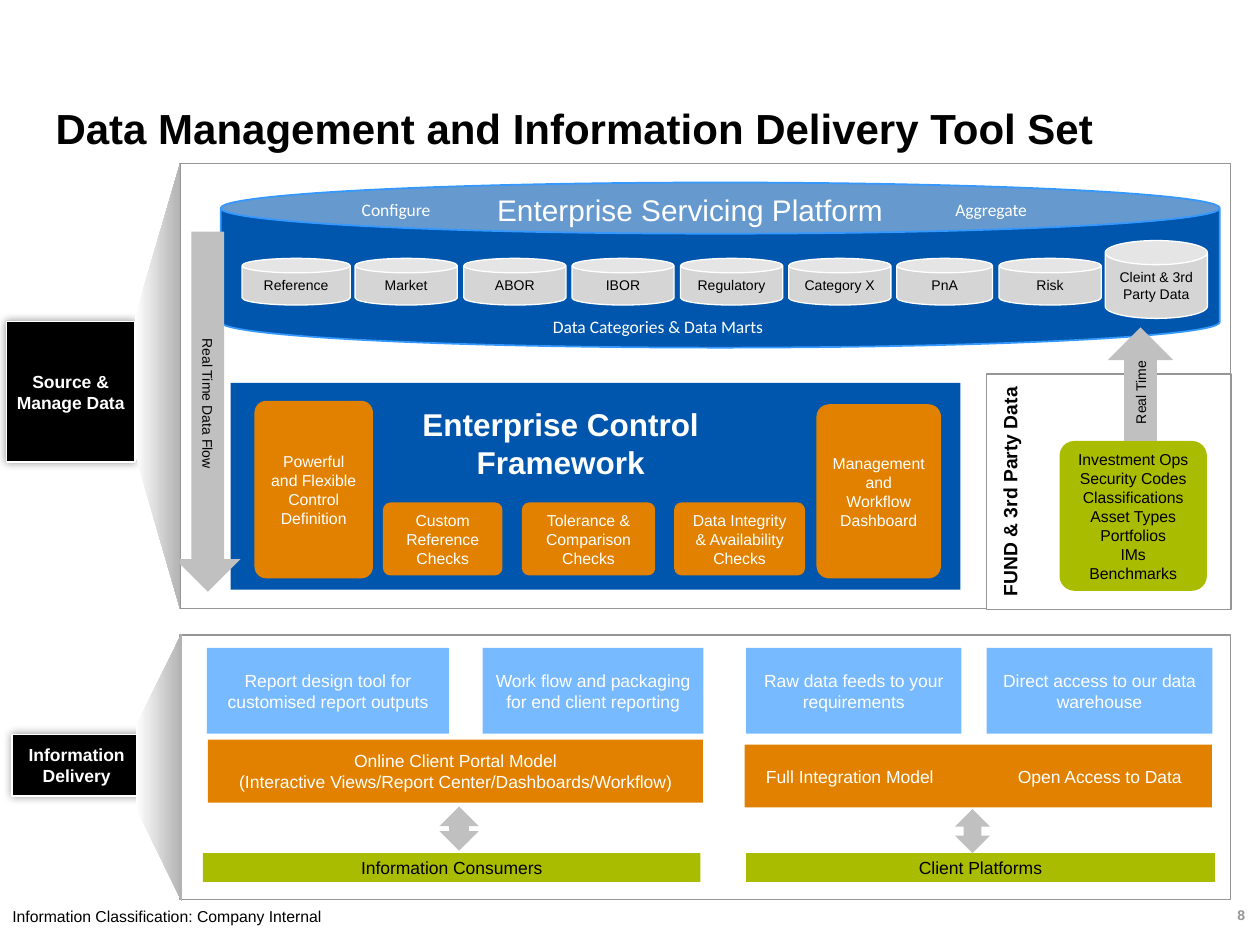
import pptx
import pptx.dml.color
import pptx.enum.shapes
import pptx.enum.text
import pptx.oxml
import pptx.oxml.ns
import pptx.util

Cm = pptx.util.Cm
Pt = pptx.util.Pt
Kind = pptx.enum.shapes.MSO_SHAPE
Align = pptx.enum.text.PP_ALIGN
Anchor = pptx.enum.text.MSO_ANCHOR

WHITE, BLACK, BLUE, SKY = "FFFFFF", "000000", "0055AD", "78BAFF"
ORANGE, GREEN, GRAY, SILVER, BORDER = "E28100", "AABC00", "C0C0C0", "D5D5D5", "969696"


def rgb(value):
    return pptx.dml.color.RGBColor.from_string(value)


def add(kind, box, text="", fill=None, line=None, weight=0.75, size=10, color=WHITE,
        bold=False, font="Arial", align=Align.CENTER, anchor=Anchor.MIDDLE,
        inset=(0.25, 0.13), vertical=False, wrap=True):
    lengths = [Cm(value) for value in box]
    if kind is None:
        shape = slide.shapes.add_textbox(*lengths)
    else:
        shape = slide.shapes.add_shape(kind, *lengths)
        shape.shadow.inherit = False
        shape.fill.solid()
        shape.fill.fore_color.rgb = rgb(fill)
        if line:
            shape.line.color.rgb = rgb(line)
            shape.line.width = Pt(weight)
        else:
            shape.line.fill.background()
    if kind == Kind.ROUNDED_RECTANGLE:
        shape.adjustments[0] = 0.1
    if kind == Kind.CAN:
        shape.adjustments[0] = 0.31
    if not text:
        return shape
    frame = shape.text_frame
    frame.text = text
    horizontal, upright = [Cm(value) for value in inset]
    frame_format = {
        "word_wrap": wrap, "vertical_anchor": anchor,
        "margin_left": horizontal, "margin_right": horizontal,
        "margin_top": upright, "margin_bottom": upright,
    }
    for name, value in frame_format.items():
        setattr(frame, name, value)
    if vertical:
        shape.element.txBody.bodyPr.set("vert", "vert270")
    font_format = {"size": Pt(size), "bold": bold, "name": font}
    for paragraph in frame.paragraphs:
        paragraph.alignment = align
        for run in paragraph.runs:
            run.font.color.rgb = rgb(color)
            for name, value in font_format.items():
                setattr(run.font, name, value)
    return shape


presentation = pptx.Presentation()
presentation.slide_width = Cm(25.4)
presentation.slide_height = Cm(19.05)
slide = presentation.slides.add_slide(presentation.slide_layouts[6])

small = (0.15, 0.08)
label = {"inset": small, "anchor": Anchor.TOP}
calibri = {**label, "font": "Calibri"}

add(None, (24.13, 18.16, 1.22, 0.58), "8", size=8, color=BORDER, bold=True,
    align=Align.RIGHT, anchor=Anchor.BOTTOM)
add(None, (0, 18.14, 25.4, 0.64), "Information Classification: Company Internal",
    size=9, color=BLACK, align=Align.LEFT, anchor=Anchor.TOP)
add(None, (1.12, 2.06, 22.86, 0.84), "Data Management and Information Delivery Tool Set",
    size=24, color=BLACK, bold=True, align=Align.LEFT, anchor=Anchor.TOP, inset=(0, 0))

for top, height in [(12.8, 5.33), (3.3, 8.97)]:
    add(Kind.RECTANGLE, (3.63, top, 21.18, height), fill=WHITE, line=BORDER)

add(Kind.CAN, (4.45, 3.68, 20.14, 3.33), fill=BLUE, line="3598FF", weight=1)
add(None, (9.75, 3.78, 8.33, 0.89), "Enterprise Servicing Platform", size=17, **label)
add(None, (6.93, 3.94, 2.11, 0.58), "Configure", **calibri)
add(None, (18.75, 3.94, 2.46, 0.58), "Aggregate", **calibri)
add(None, (9.8, 6.3, 6.93, 0.58), "Data Categories & Data Marts", **calibri)

store = {"fill": SILVER, "line": WHITE, "size": 8, "color": BLACK}
stores = [
    ("Reference", 4.88, 2.18), ("Market", 7.16, 2.06), ("ABOR", 9.35, 2.06),
    ("IBOR", 11.53, 2.06), ("Regulatory", 13.72, 2.06), ("Category X", 15.9, 2.06),
    ("PnA", 18.08, 1.93), ("Risk", 20.14, 2.06),
]
for text, left, width in stores:
    add(Kind.CAN, (left, 5.21, width, 0.94), text, inset=small, **store)
add(Kind.CAN, (22.28, 4.85, 2.06, 1.57), "Cleint & 3rd Party Data", inset=(0, 0.08), **store)

add(Kind.RECTANGLE, (4.65, 7.72, 14.71, 4.17), fill=BLUE)
add(None, (7.09, 8.08, 8.43, 1.65), "Enterprise Control Framework", size=18, bold=True, **label)
controls = [
    ("Powerful and Flexible Control Definition", (5.13, 8.08, 2.39, 3.58), 0.2),
    ("Custom Reference Checks", (7.72, 10.13, 2.41, 1.47), 0.3),
    ("Tolerance & Comparison Checks", (10.52, 10.13, 2.69, 1.47), 0.3),
    ("Data Integrity & Availability Checks", (13.59, 10.13, 2.64, 1.47), 0.3),
    ("Management and Workflow Dashboard", (16.46, 8.15, 2.51, 3.51), 0.25),
]
for text, box, margin in controls:
    add(Kind.ROUNDED_RECTANGLE, box, text, fill=ORANGE, size=9, inset=(margin, 0.13))

add(Kind.RECTANGLE, (19.89, 7.54, 4.93, 4.75), "FUND & 3rd Party Data", fill=WHITE,
    line=BORDER, size=11, color=BLACK, bold=True, anchor=Anchor.TOP,
    inset=(0.23, 0.1), vertical=True)
add(Kind.ROUNDED_RECTANGLE, (21.36, 8.89, 2.97, 3.02),
    "Investment Ops\nSecurity Codes\nClassifications\nAsset Types\nPortfolios\nIMs\nBenchmarks",
    fill=GREEN, size=9, color=BLACK, inset=small)

flows = [
    ("Real Time", (22.33, 6.6, 1.32, 2.29), 0),
    ("Real Time Data Flow", (3.53, 4.67, 1.32, 7.26), 180),
]
for text, box, rotation in flows:
    arrow = add(Kind.UP_ARROW, box, text, fill=GRAY, size=8, color=BLACK,
                inset=small, vertical=True)
    arrow.rotation = rotation

deliveries = [
    ("Report design tool for customised report outputs", 4.17, 4.88),
    ("Work flow and packaging for end client reporting", 9.73, 4.45),
    ("Raw data feeds to your requirements", 15.04, 4.34),
    ("Direct access to our data warehouse", 19.89, 4.55),
]
for text, left, width in deliveries:
    add(Kind.RECTANGLE, (left, 13.06, width, 1.73), text, fill=SKY)

add(Kind.RECTANGLE, (4.19, 14.91, 9.98, 1.27),
    "Online Client Portal Model\n(Interactive Views/Report Center/Dashboards/Workflow)", fill=ORANGE)
add(Kind.RECTANGLE, (15.01, 15.01, 9.42, 1.27), "Full Integration Model", fill=ORANGE,
    align=Align.LEFT, inset=(0.43, 0.13))
add(None, (20.27, 15.32, 5.16, 0.69), "Open Access to Data", align=Align.LEFT, anchor=Anchor.TOP)

for box in [(8.86, 16.26, 0.79, 0.89), (19.25, 16.31, 0.71, 0.89)]:
    add(Kind.UP_DOWN_ARROW, box, fill=GRAY)
for text, left, width in [("Information Consumers", 4.09, 10.03), ("Client Platforms", 15.04, 9.45)]:
    add(Kind.RECTANGLE, (left, 17.2, width, 0.58), text, fill=GREEN, color=BLACK, inset=(0, 0.08))

shadow = (
    f'<a:outerShdw {pptx.oxml.ns.nsdecls("a")} blurRad="63500" dist="0" dir="0">'
    '<a:srgbClr val="000000"><a:alpha val="40000"/></a:srgbClr></a:outerShdw>'
)
stages = [
    ("Source &\nManage Data", (0.13, 6.48, 2.59, 2.84)),
    ("Information\nDelivery", (0.25, 14.81, 2.59, 1.24)),
]
for text, box in stages:
    stage = add(Kind.RECTANGLE, box, text, fill=BLACK, line=WHITE, weight=1, bold=True, wrap=False)
    effects = stage.element.spPr.find(pptx.oxml.ns.qn("a:effectLst"))
    effects.append(pptx.oxml.parse_xml(shadow))

funnels = [
    [(3.63, 12.27), (2.72, 9.14), (2.72, 6.4), (3.63, 3.3)],
    [(3.66, 18.16), (2.74, 16.28), (2.74, 14.63), (3.66, 12.78)],
]
for corners in funnels:
    points = [(Cm(left), Cm(top)) for left, top in corners]
    builder = slide.shapes.build_freeform(*points[0])
    builder.add_line_segments(points[1:], close=True)
    funnel = builder.convert_to_shape()
    funnel.shadow.inherit = False
    funnel.line.fill.background()
    funnel.fill.gradient()
    funnel.fill.gradient_angle = 0
    for stop, value in zip(funnel.fill.gradient_stops, (WHITE, "B2B2B2")):
        stop.color.rgb = rgb(value)

presentation.save("out.pptx")
